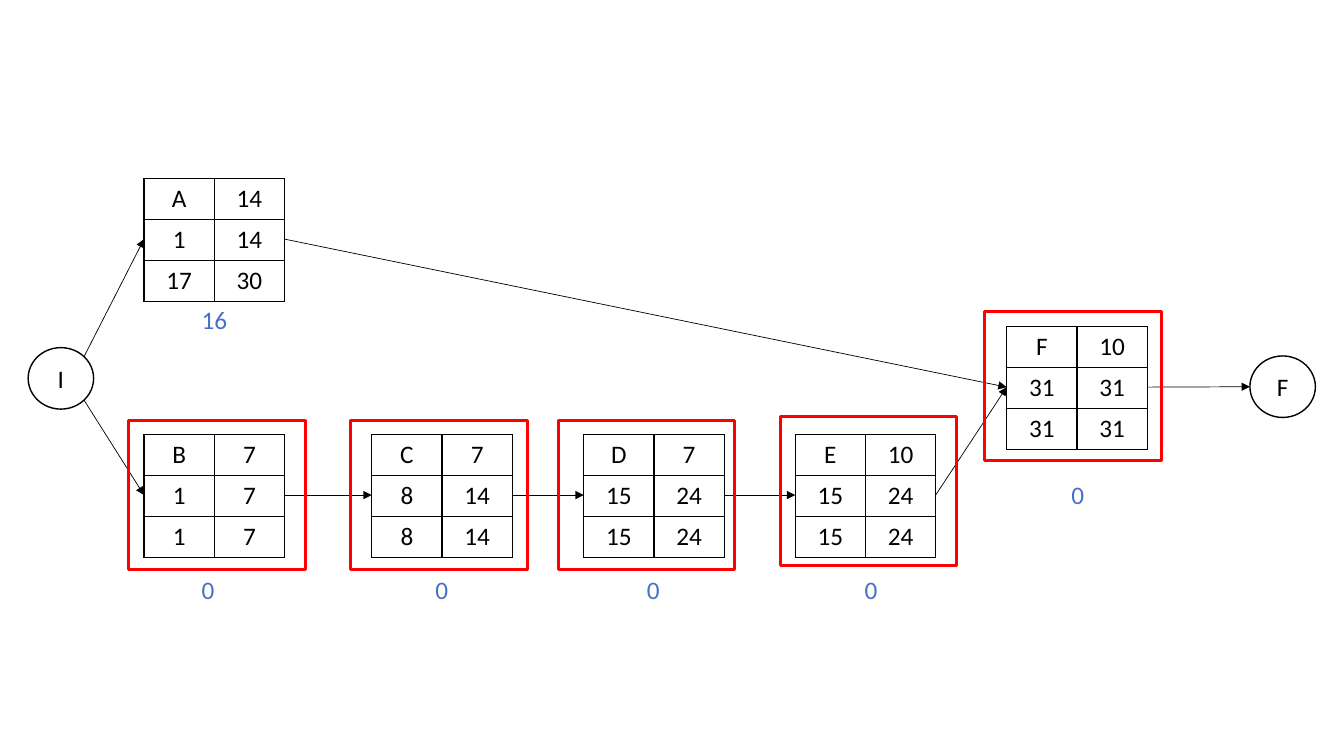
from collections import namedtuple
from itertools import product
from math import sqrt

from lxml import etree
from pptx import Presentation
from pptx import util as u
from pptx.dml.color import RGBColor
from pptx.enum import shapes, text
from pptx.oxml import ns

BLACK, RED, BLUE = "000000", "FF0000", "4472C4"
COLUMN, ROW = 1.77, 1.03
CIRCLE_WIDTH, CIRCLE_HEIGHT = 1.65, 1.55
FRAME_WIDTH, FRAME_HEIGHT = 4.45, 3.76

Task = namedtuple("Task", "left top rows slack slack_offset frame_offset")

LOWER = 10.95
TASKS = {
    "A": Task(3.63, 4.5, (("A", "14"), ("1", "14"), ("17", "30")), "16", (1.2, 3.04), None),
    "B": Task(3.63, LOWER, (("B", "7"), ("1", "7"), ("1", "7")), "0", (1.2, 3.4), (-0.38, -0.36)),
    "C": Task(9.37, LOWER, (("C", "7"), ("8", "14"), ("8", "14")), "0", (1.35, 3.4), (-0.53, -0.36)),
    "D": Task(14.71, LOWER, (("D", "7"), ("15", "24"), ("15", "24")), "0", (1.34, 3.4), (-0.64, -0.36)),
    "E": Task(20.04, LOWER, (("E", "10"), ("15", "24"), ("15", "24")), "0", (1.5, 3.4), (-0.38, -0.46)),
    "F": Task(25.37, 8.23, (("F", "10"), ("31", "31"), ("31", "31")), "0", (1.38, 3.73), (-0.55, -0.38)),
}
LINKS = ("BC", "AF", "CD", "DE", "EF")
START, FINISH = (0.71, 8.76), (31.5, 8.97)


def color(value):
    return RGBColor.from_string(value)


def lengths(*values):
    return [u.Cm(value) for value in values]


def write(frame, words, size=18, font="Calibri", fill=BLACK, align=text.PP_ALIGN.CENTER):
    para = frame.paragraphs[0]
    para.alignment = align
    span = para.add_run()
    span.text = words
    span.font.size = u.Pt(size)
    span.font.name = font
    span.font.color.rgb = color(fill)


def add_borders(cell, width=1, line=BLACK):
    properties = cell._tc.get_or_add_tcPr()
    for index, side in enumerate(("a:lnL", "a:lnR", "a:lnT", "a:lnB")):
        border = etree.Element(ns.qn(side), w=str(u.Pt(width)))
        solid = etree.SubElement(border, ns.qn("a:solidFill"))
        etree.SubElement(solid, ns.qn("a:srgbClr"), val=line)
        properties.insert(index, border)


def add_task(page, task):
    count = len(task.rows)
    box = lengths(task.left, task.top, 2 * COLUMN, count * ROW)
    table = page.shapes.add_table(count, 2, *box).table
    table.first_row = table.horz_banding = False
    for column in table.columns:
        column.width = u.Cm(COLUMN)
    for row in table.rows:
        row.height = u.Cm(ROW)
    for row, column in product(range(count), range(2)):
        cell = table.cell(row, column)
        cell.fill.background()
        add_borders(cell)
        write(cell.text_frame, task.rows[row][column])


def add_outline(page, kind, box, line, width):
    shape = page.shapes.add_shape(kind, *lengths(*box))
    shape.shadow.inherit = False
    shape.fill.background()
    shape.line.color.rgb = color(line)
    shape.line.width = u.Pt(width)
    return shape


def add_circle(page, place, letter):
    box = (*place, CIRCLE_WIDTH, CIRCLE_HEIGHT)
    circle = add_outline(page, shapes.MSO_SHAPE.OVAL, box, BLACK, 1)
    circle.text_frame.vertical_anchor = text.MSO_ANCHOR.MIDDLE
    write(circle.text_frame, letter)


def add_slack(page, task):
    across, down = task.slack_offset
    width = 0.5 + 0.34 * len(task.slack)
    label = page.shapes.add_textbox(*lengths(task.left + across, task.top + down, width, 1.02))
    label.text_frame.word_wrap = False
    label.text_frame.auto_size = text.MSO_AUTO_SIZE.SHAPE_TO_FIT_TEXT
    write(label.text_frame, task.slack, fill=BLUE, align=text.PP_ALIGN.LEFT)


def add_critical_frame(page, task):
    across, down = task.frame_offset
    box = (task.left + across, task.top + down, FRAME_WIDTH, FRAME_HEIGHT)
    add_outline(page, shapes.MSO_SHAPE.RECTANGLE, box, RED, 2.25)


def add_arrow(page, begin, end):
    arrow = page.shapes.add_connector(shapes.MSO_CONNECTOR.STRAIGHT, *lengths(*begin, *end))
    arrow.line.color.rgb = color(BLACK)
    arrow.line.width = u.Pt(0.5)
    etree.SubElement(arrow.line._get_or_add_ln(), ns.qn("a:tailEnd"), type="triangle")
    etree.SubElement(arrow._element.spPr, ns.qn("a:effectLst"))


def entry(task):
    return task.left, task.top + 1.5 * ROW - 0.02


def leave(task):
    left, middle = entry(task)
    return left + 2 * COLUMN, middle


def circle_corner(place, direction):
    left, top = place
    return (
        left + CIRCLE_WIDTH / 2 * (1 + sqrt(0.5)),
        top + CIRCLE_HEIGHT / 2 * (1 + direction * sqrt(0.5)),
    )


def add_arrows(page):
    for name, direction in (("A", -1), ("B", 1)):
        add_arrow(page, circle_corner(START, direction), entry(TASKS[name]))
    for source, target in LINKS:
        add_arrow(page, leave(TASKS[source]), entry(TASKS[target]))
    left, top = FINISH
    add_arrow(page, leave(TASKS["F"]), (left, top + CIRCLE_HEIGHT / 2))


def add_network(page):
    for task in TASKS.values():
        add_task(page, task)
    add_circle(page, FINISH, "F")
    add_arrows(page)
    for task in TASKS.values():
        add_slack(page, task)
    for task in TASKS.values():
        if task.frame_offset:
            add_critical_frame(page, task)
    add_circle(page, START, "I")


def main():
    deck = Presentation()
    deck.slide_width, deck.slide_height = lengths(33.87, 19.05)
    page = deck.slides.add_slide(deck.slide_layouts.get_by_name("Blank"))
    add_network(page)
    deck.save("out.pptx")


if __name__ == "__main__":
    main()
